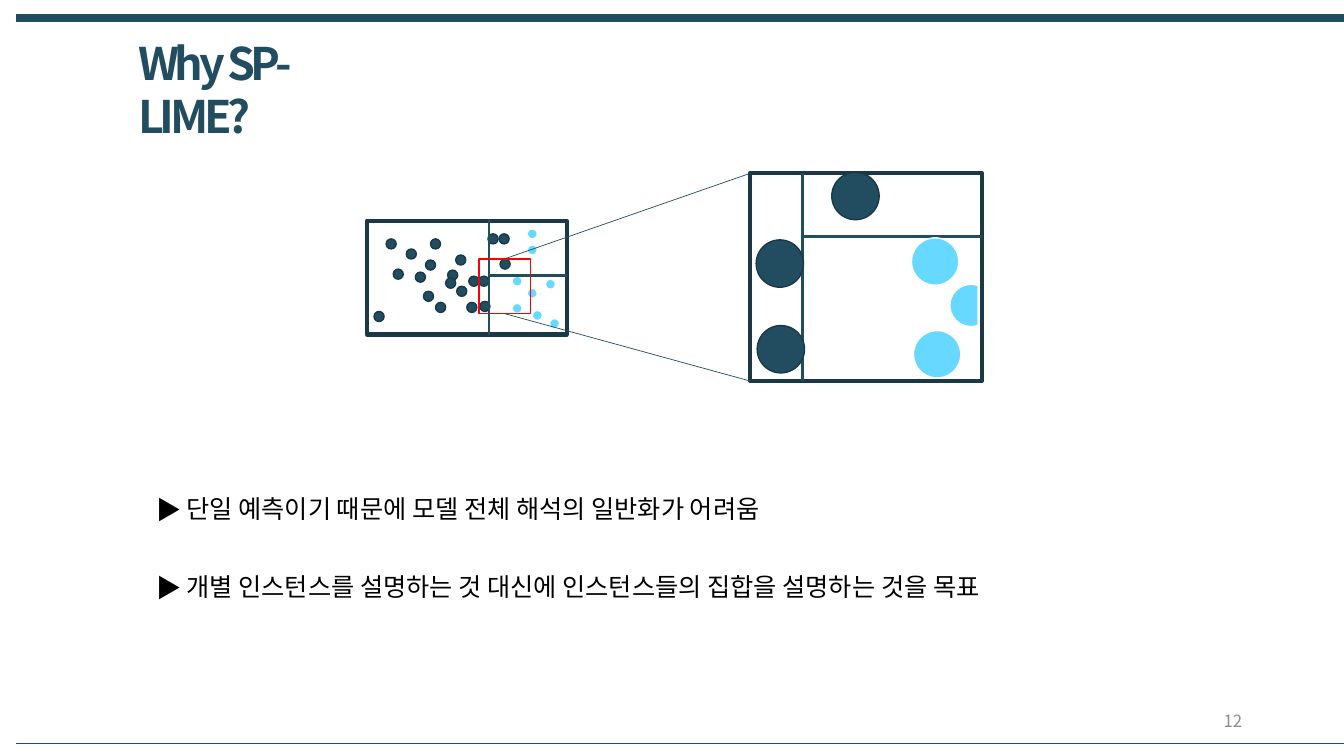
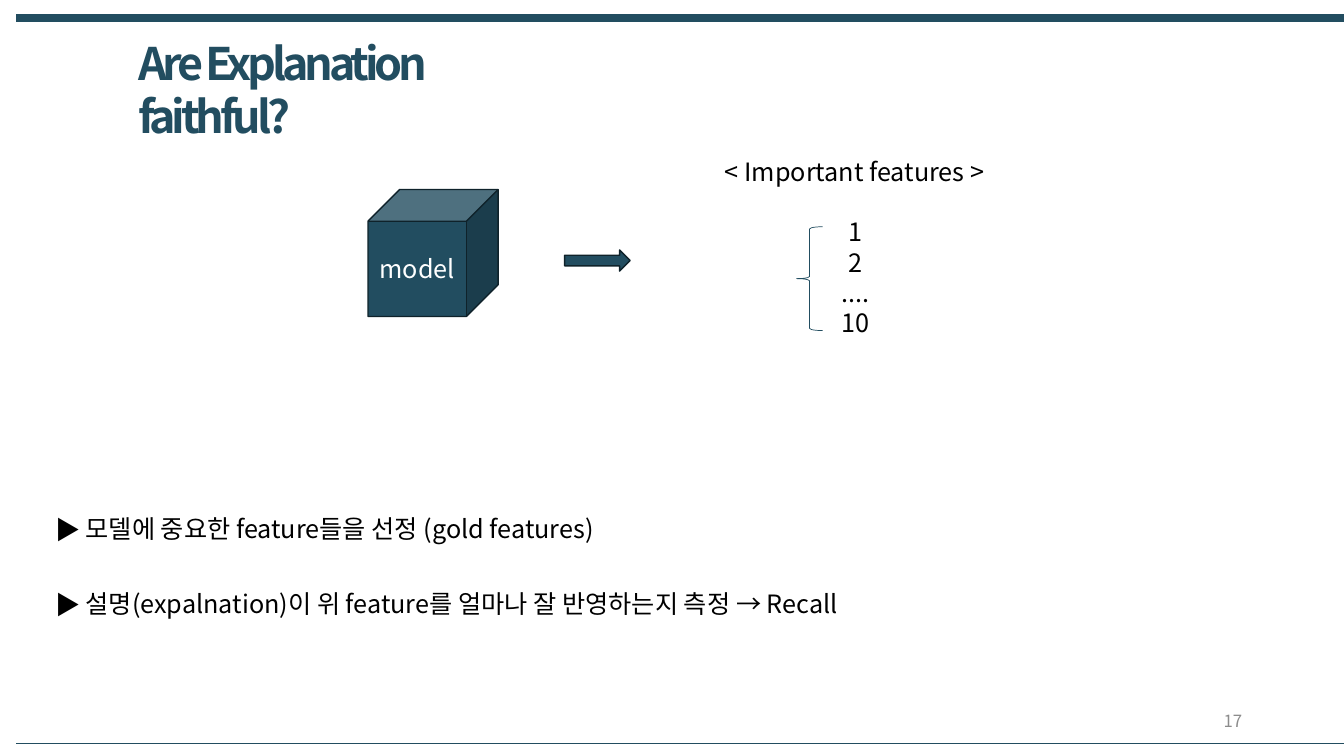
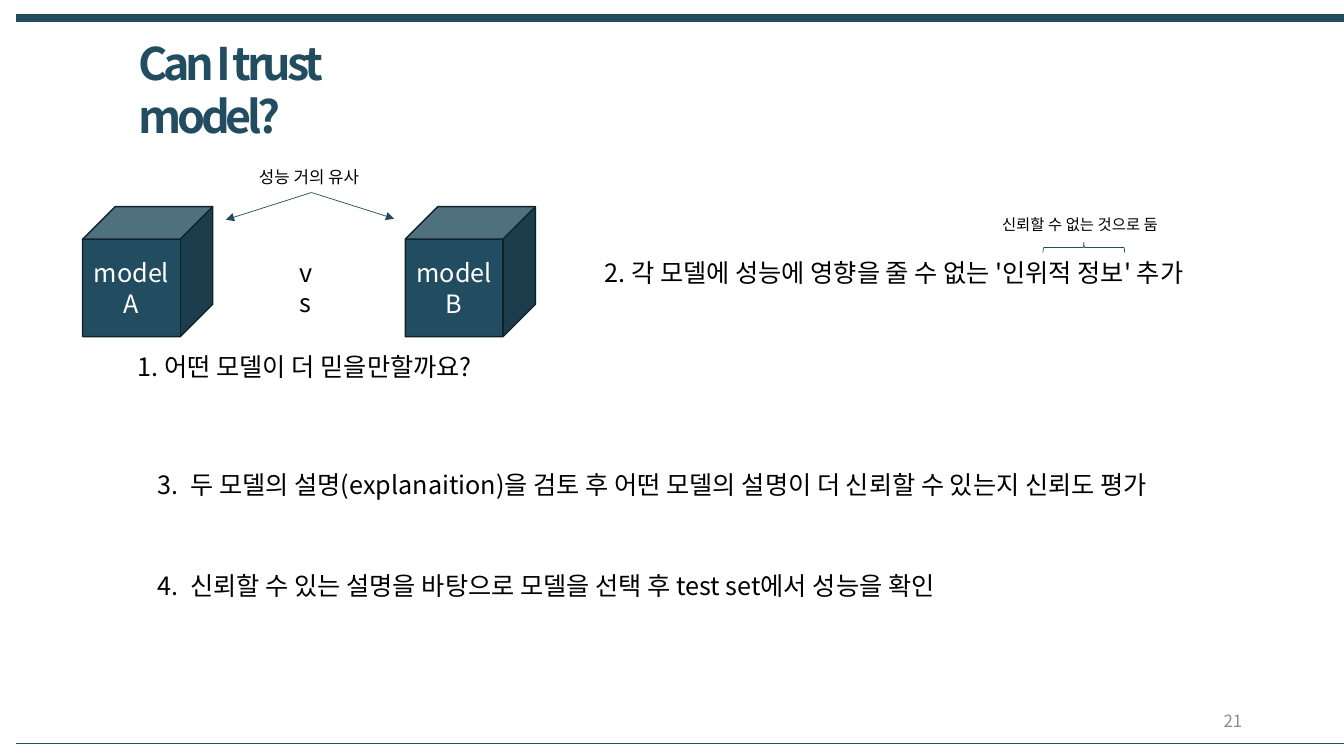
from dataclasses import dataclass

from lxml.etree import SubElement
from pptx import Presentation
from pptx.dml.color import RGBColor
from pptx.enum.shapes import MSO_CONNECTOR, MSO_SHAPE
from pptx.enum.text import MSO_ANCHOR, MSO_AUTO_SIZE, PP_ALIGN
from pptx.oxml.ns import qn
from pptx.util import Emu, Pt


@dataclass(frozen=True)
class Theme:
    font: str = "Noto Sans CJK KR"
    main: str = "224D60"
    frame: str = "193947"
    edge: str = "0F222A"
    light: str = "67D8FF"
    focus: str = "FF0000"
    white: str = "FFFFFF"
    text: str = "000000"
    muted: str = "8C8C8C"
    title_size: int = 32
    title_spacing: int = -300
    body_size: int = 18
    note_size: int = 12
    small_size: int = 11
    line_height: float = 1.2


T = Theme()
PX = 9144  # 100 px to the inch
W, H = 1333, 750
BANDS = [(18, 6), (737, 0.25)]  # y, weight

# ---- content ----
WHY = {
    "title": ("Why SP-LIME?", 270),
    "number": "12",
    "list": {
        "box": (145, 484, 1040, 120), "pitch": 78, "hang": 30, "char": "▶",
        "items": ["단일 예측이기 때문에 모델 전체 해석의 일반화가 어려움",
                  "개별 인스턴스를 설명하는 것 대신에 인스턴스들의 집합을 설명하는 것을 목표"],
    },
}
FAITHFUL = {
    "title": ("Are Explanation faithful?", 432),
    "number": "17",
    "list": {
        "box": (45, 504, 1163, 120), "pitch": 75, "hang": 30, "char": "▶",
        "items": ["모델에 중요한 feature들을 선정 (gold features)",
                  "설명(expalnation)이 위 feature를 얼마나 잘 반영하는지 측정 → Recall"],
    },
}
TRUST = {
    "title": ("Can I trust model?", 325),
    "number": "21",
    "list": {
        "box": (146, 461, 1066, 140), "pitch": 100, "hang": 33, "start": 3,
        "items": ["두 모델의 설명(explanaition)을 검토 후 어떤 모델의 설명이 더 신뢰할 수 있는지 신뢰도 평가",
                  "신뢰할 수 있는 설명을 바탕으로 모델을 선택 후 test set에서 성능을 확인"],
    },
}

DOT, BIG_DOT = 10, 47
DARK_DOTS = [(383, 237), (403, 247), (422, 258), (427, 237), (452, 253), (444, 268), (463, 300),
             (475, 274), (432, 300), (412, 270), (420, 289), (442, 276), (453, 284), (495, 232),
             (465, 274), (484, 232), (476, 299), (496, 257), (371, 309), (390, 267)]
LIGHT_DOTS = [(523, 227), (523, 243), (541, 277), (523, 286), (508, 301), (508, 274), (528, 308),
              (545, 316)]
BIG_DARK_DOTS = [(751, 323), (750, 238), (825, 171)]
BIG_LIGHT_DOTS = [(904, 236), (906, 328)]
DATA_BOX = (364, 219, 198, 113)
ZOOM_BOX = (744, 172, 230, 206)
FOCUS_BOX = (475, 257, 51, 54)

FEATURES_HEAD = "< Important features >"
FEATURES = ["1", "2", "....", "10"]


# ---- drawing helpers ----
def px(*values):
    return [Emu(v * PX) for v in values]


def rgb(code):
    return RGBColor.from_string(code)


def add_run(p, text, size=T.body_size, color=T.text, bold=False, spacing=None):
    r = p.add_run()
    r.text = text
    r.font.size, r.font.bold, r.font.name = Pt(size), bold, T.font
    r.font.color.rgb = rgb(color)
    rPr = r.font._element
    SubElement(rPr, qn("a:ea")).set("typeface", T.font)
    if spacing:
        rPr.set("spc", str(spacing))


def set_frame(sp, anchor=MSO_ANCHOR.TOP):
    tf = sp.text_frame
    tf.word_wrap, tf.auto_size, tf.vertical_anchor = True, MSO_AUTO_SIZE.NONE, anchor
    return tf


def place(sp, box):
    sp.left, sp.top, sp.width, sp.height = px(*box)


def add_text(s, box, text, align=PP_ALIGN.LEFT, anchor=MSO_ANCHOR.TOP, **style):
    tf = set_frame(s.shapes.add_textbox(*px(*box)), anchor)
    p = tf.paragraphs[0]
    p.alignment = align
    add_run(p, text, **style)
    return tf


def add_shape(s, kind, box, fill=None, line=T.main, weight=1.0):
    sp = s.shapes.add_shape(kind, *px(*box))
    sp.shadow.inherit = False
    if fill:
        sp.fill.solid()
        sp.fill.fore_color.rgb = rgb(fill)
    else:
        sp.fill.background()
    sp.line.color.rgb, sp.line.width = rgb(line), Pt(weight)
    return sp


def add_line(s, start, end, weight, arrow=False):
    c = s.shapes.add_connector(MSO_CONNECTOR.STRAIGHT, *px(*start, *end))
    c.line.color.rgb, c.line.width = rgb(T.main), Pt(weight)
    spPr = c._element.spPr
    if arrow:
        SubElement(spPr.find(qn("a:ln")), qn("a:tailEnd")).set("type", "triangle")
    SubElement(spPr, qn("a:effectLst"))
    return c


def add_cube(s, box, text):
    sp = add_shape(s, MSO_SHAPE.CUBE, box, T.main, T.edge)
    p = set_frame(sp, MSO_ANCHOR.MIDDLE).paragraphs[0]
    p.alignment = PP_ALIGN.CENTER
    add_run(p, text, color=T.white)


def fill_list(sp, box, items, pitch, hang, char=None, start=1):
    """Fill the body placeholder; pitch is the distance between items in px."""
    place(sp, box)
    tf = set_frame(sp)
    for i, item in enumerate(items):
        p = tf.add_paragraph() if i else tf.paragraphs[0]
        p.line_spacing = 1.0
        p.space_before = Pt(round(pitch * 0.72 - T.body_size * T.line_height, 1) if i else 0)
        add_run(p, item)
        pPr = p._p.get_or_add_pPr()
        pPr.set("marL", str(hang * PX))
        pPr.set("indent", str(-hang * PX))
        SubElement(pPr, qn("a:buFont")).set("typeface", T.font)
        if char:
            SubElement(pPr, qn("a:buChar")).set("char", char)
        else:
            bu = SubElement(pPr, qn("a:buAutoNum"))
            bu.set("type", "arabicPeriod")
            bu.set("startAt", str(start))


def add_bands(s, layout):
    """Draw the bands and hand them to the layout, so that every slide has them."""
    for y, weight in BANDS:
        band = add_line(s, (16, y), (W + 2, y), weight)
        layout.shapes._spTree.append(band._element)


def new_slide(prs, content):
    s = prs.slides.add_slide(prs.slide_layouts[1])
    title, width = content["title"]
    place(s.shapes.title, (127, 30, width, 64))
    p = set_frame(s.shapes.title).paragraphs[0]
    p.alignment, p.line_spacing = PP_ALIGN.LEFT, 1.0
    add_run(p, title, T.title_size, T.main, True, T.title_spacing)
    fill_list(s.placeholders[1], **content["list"])
    add_text(s, (942, 695, 300, 40), content["number"], PP_ALIGN.RIGHT, MSO_ANCHOR.MIDDLE,
             size=T.note_size, color=T.muted)
    return s


# ---- slides ----
def add_dots(s, dots, size, fill, line):
    for x, y in dots:
        add_shape(s, MSO_SHAPE.OVAL, (x, y, size, size), fill, line)


def draw_why(s):
    add_shape(s, MSO_SHAPE.RECTANGLE, DATA_BOX, None, T.frame, 3)
    add_dots(s, DARK_DOTS, DOT, T.main, T.frame)
    add_dots(s, LIGHT_DOTS, DOT, T.light, T.white)
    add_line(s, (485, 217), (485, 332), 2)
    add_line(s, (484, 273), (562, 273), 2)

    add_shape(s, MSO_SHAPE.RECTANGLE, ZOOM_BOX, None, T.frame, 3)
    add_shape(s, MSO_SHAPE.RECTANGLE, FOCUS_BOX, None, T.focus)
    fx, fy, fw, fh = FOCUS_BOX
    zx, zy, zw, zh = ZOOM_BOX
    for y_from, y_to in [(fy, zy), (fy + fh, zy + zh)]:
        add_line(s, (fx + fw // 2, y_from), (zx, y_to), 0.5)
    add_line(s, (797, 235), (zx + zw, 235), 2)
    add_line(s, (796, zy + zh), (796, zy), 2)
    add_dots(s, BIG_DARK_DOTS, BIG_DOT, T.main, T.frame)
    add_dots(s, BIG_LIGHT_DOTS, BIG_DOT, T.light, T.white)
    cut_dot = add_shape(s, MSO_SHAPE.CHORD, (942, 282, 42, 42), T.light, T.white)
    for i, degrees in enumerate((70.5, 289.5)):
        cut_dot.adjustments[i] = degrees * 0.6


def draw_faithful(s):
    add_cube(s, (365, 188, 129, 126), "model")
    add_shape(s, MSO_SHAPE.RIGHT_ARROW, (560, 248, 65, 21), T.main, T.edge)
    tf = add_text(s, (709, 150, 279, 222), FEATURES_HEAD)
    for i, feature in enumerate(FEATURES):
        p = tf.add_paragraph()
        p.alignment = PP_ALIGN.CENTER
        p.space_before = Pt(0 if i else T.body_size * T.line_height)
        add_run(p, feature)
    add_shape(s, MSO_SHAPE.LEFT_BRACE, (790, 225, 26, 103), weight=0.5)


def draw_trust(s):
    for x, name in [(82, "model A"), (402, "model B")]:
        add_cube(s, (x, 205, 129, 129), name)
    add_text(s, (287, 250, 43, 70), "vs")
    for tip in [(224, 218), (391, 217)]:
        add_line(s, (309, 191), tip, 0.5, arrow=True)
    add_text(s, (247, 161, 134, 30), "성능 거의 유사", size=T.note_size)
    add_text(s, (127, 344, 400, 40), "1. 어떤 모델이 더 믿을만할까요?")
    add_text(s, (590, 250, 626, 70), "2. 각 모델에 성능에 영향을 줄 수 없는 '인위적 정보' 추가")
    brace = add_shape(s, MSO_SHAPE.RIGHT_BRACE, (1070, 205, 10, 81), weight=0.5)
    brace.rotation = 270
    add_text(s, (984, 208, 193, 29), "신뢰할 수 없는 것으로 둠", size=T.small_size)


def main():
    prs = Presentation()
    prs.slide_width, prs.slide_height = px(W, H)
    slides = [(WHY, draw_why), (FAITHFUL, draw_faithful), (TRUST, draw_trust)]
    for content, draw in slides:
        draw(new_slide(prs, content))
    add_bands(prs.slides[0], prs.slide_layouts[1])
    prs.save("out.pptx")


if __name__ == "__main__":
    main()
